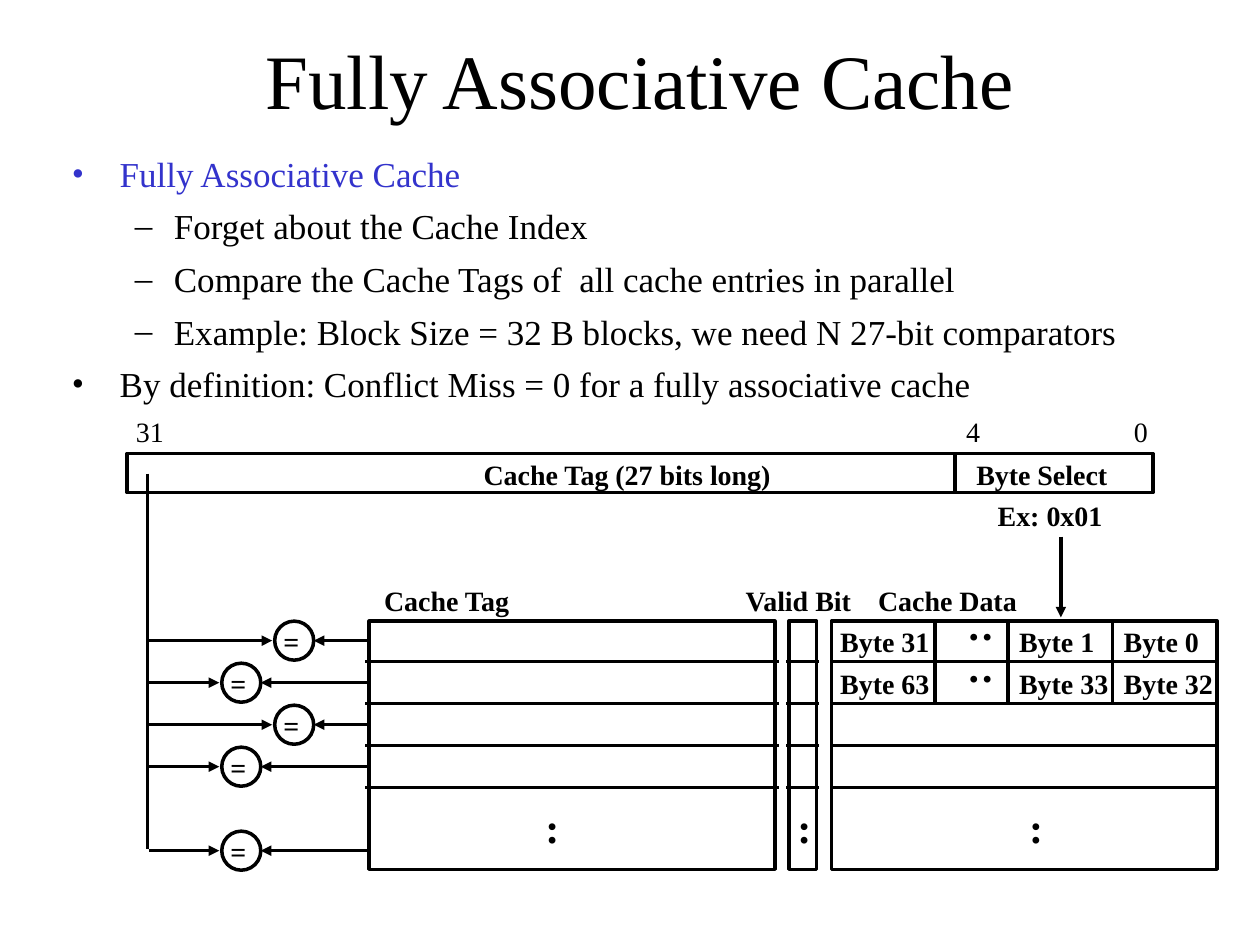
from collections import namedtuple
from dataclasses import dataclass

from lxml.etree import SubElement
from pptx import Presentation
from pptx.dml.color import RGBColor
from pptx.enum.shapes import MSO_CONNECTOR, MSO_SHAPE
from pptx.enum.text import MSO_ANCHOR, MSO_AUTO_SIZE, PP_ALIGN
from pptx.oxml.ns import qn
from pptx.util import Inches, Pt

Box = namedtuple("Box", "x y w h")


@dataclass(frozen=True)
class Theme:
    font: str = "Times New Roman"
    ink: str = "000000"
    accent: str = "3333CC"
    title: int = 44
    body: int = 20
    label: int = 16
    dots: int = 24
    line: int = 2


T = Theme()
ROW = 1 / 3          # height of one cache entry
CELL = 0.31          # height of a cell between its border lines
ENTRIES = 4          # entries drawn before the dots
BULLETS = [
    (0, "Fully Associative Cache", T.accent),
    (1, "Forget about the Cache Index", T.ink),
    (1, "Compare the Cache Tags of  all cache entries in parallel", T.ink),
    (1, "Example: Block Size = 32 B blocks, we need N 27-bit comparators", T.ink),
    (0, "By definition: Conflict Miss = 0 for a fully associative cache", T.ink),
]
LEVELS = [("•", 0.38, -0.38), ("–", 0.81, -0.31)]  # bullet, margin, indent


def place(shape, box):
    shape.left, shape.top, shape.width, shape.height = map(Inches, box)


def write(p, text, size=T.label, bold=False, color=T.ink, align=PP_ALIGN.LEFT):
    p.alignment = align
    r = p.add_run()
    r.text = text
    f = r.font
    f.name, f.size, f.bold = T.font, Pt(size), bold
    f.color.rgb = RGBColor.from_string(color)


def add_label(s, text, x, y, w, h=0.36, rotation=0, size=T.label, bold=True):
    sp = s.shapes.add_textbox(*map(Inches, (x, y, w, h)))
    sp.rotation = rotation
    sp.text_frame.word_wrap = False
    write(sp.text_frame.paragraphs[0], text, size=size, bold=bold)


def add_dots(s, x, y, rotation=0):
    add_label(s, ":", x, y, 0.31, 0.5, rotation=rotation, size=T.dots)


def add_outline(s, kind, box):
    sp = s.shapes.add_shape(kind, *map(Inches, box))
    sp.shadow.inherit = False
    sp.fill.background()
    sp.line.color.rgb = RGBColor.from_string(T.ink)
    sp.line.width = Pt(T.line)


def add_line(s, x1, y1, x2, y2, arrow=False):
    c = s.shapes.add_connector(MSO_CONNECTOR.STRAIGHT,
                               *map(Inches, (x1, y1, x2, y2)))
    c.line.color.rgb = RGBColor.from_string(T.ink)
    c.line.width = Pt(T.line)
    if arrow:
        SubElement(c.line._get_or_add_ln(), qn("a:tailEnd"), type="triangle")
    SubElement(c._element.spPr, qn("a:effectLst"))


def add_title(s, box):
    sp = s.shapes.title
    place(sp, box)
    tf = sp.text_frame
    tf.vertical_anchor = MSO_ANCHOR.MIDDLE
    tf.auto_size = MSO_AUTO_SIZE.NONE
    write(tf.paragraphs[0], "Fully Associative Cache", size=T.title,
          align=PP_ALIGN.CENTER)


def add_bullets(s, box):
    sp = s.placeholders[1]
    place(sp, box)
    tf = sp.text_frame
    tf.auto_size = MSO_AUTO_SIZE.NONE
    tf.margin_left = tf.margin_right = Inches(0.07)
    tf.margin_top = tf.margin_bottom = Inches(0.03)
    for i, (level, text, color) in enumerate(BULLETS):
        p = tf.add_paragraph() if i else tf.paragraphs[0]
        p.level = level
        char, margin, indent = LEVELS[level]
        pPr = p._p.get_or_add_pPr()
        pPr.set("marL", str(Inches(margin)))
        pPr.set("indent", str(Inches(indent)))
        SubElement(SubElement(pPr, qn("a:buClr")), qn("a:srgbClr"), val=color)
        SubElement(pPr, qn("a:buFont"), typeface=T.font)
        SubElement(pPr, qn("a:buChar"), char=char)
        p.space_before = Pt(6 if i else 0)
        write(p, text, size=T.body, color=color)


def add_address(s, box):
    """Address word: bit numbers above, tag and byte select fields inside."""
    x, y, w, h = box
    split = x + 6.57
    add_outline(s, MSO_SHAPE.RECTANGLE, box)
    add_line(s, split, y, split, y + h)
    for text, left, width in (("31", x - 0.03, 0.42), ("4", split - 0.01, 0.31),
                              ("0", x + w - 0.25, 0.31)):
        add_label(s, text, left, y - 0.36, width, bold=False)
    add_label(s, "Cache Tag (27 bits long)", x + 2.73, y - 0.02, 2.5)
    add_label(s, "Byte Select", split + 0.07, y - 0.02, 1.24)
    add_label(s, "Ex: 0x01", split + 0.24, y + h, 1.03)
    add_line(s, split + 0.84, y + 0.66, split + 0.84, y + 1.3, arrow=True)


def add_column(s, box, heading, heading_x, heading_w, dots_x, overhang):
    """One cache column; overhang is how far its row lines pass the border."""
    x, y, w, h = box
    add_outline(s, MSO_SHAPE.RECTANGLE, box)
    for i in range(ENTRIES):
        row_y = y + 0.32 + i * ROW
        add_line(s, x - overhang, row_y, x + w + overhang, row_y)
    add_label(s, heading, x + heading_x, y - 0.35, heading_w)
    add_dots(s, x + dots_x, y + 1.38)


def add_bytes(s, box):
    x, y = box.x, box.y
    rows = [("Byte 31", "Byte 1", "Byte 0"), ("Byte 63", "Byte 33", "Byte 32")]
    for i, names in enumerate(rows):
        top = y + i * ROW
        for name, left in zip(names, (-0.03, 1.39, 2.22)):
            add_label(s, name, x + left, top - 0.02, 0.91 if len(name) > 6 else 0.8)
        for edge in (0.82, 1.4, 2.23):
            add_line(s, x + edge, top, x + edge, top + CELL)
        add_dots(s, x + 0.97, top - 0.12, rotation=270)


def add_comparators(s, box):
    """Comparators in two staggered columns between the tag bus and the tags."""
    x, y, w, h = box
    add_line(s, x, y - 1.17, x, y + 1.81)
    for entry in (0, 1, 2, 3, 5):
        left = x + (0.59 if entry % 2 else 1.01)
        top = y + entry * ROW
        mid = top + CELL / 2
        add_outline(s, MSO_SHAPE.OVAL, Box(left, top, CELL, CELL))
        add_label(s, "=", left - 0.03, top - 0.02, 0.32)
        add_line(s, x + 0.01, mid, left - 0.02, mid, arrow=True)
        add_line(s, x + w, mid, left + CELL, mid, arrow=True)


def main():
    prs = Presentation()
    prs.slide_width, prs.slide_height = Inches(10), Inches(7.5)
    s = prs.slides.add_slide(prs.slide_layouts[1])
    add_title(s, Box(0.83, 0, 8.5, 1.25))
    add_bullets(s, Box(0.5, 1.18, 8.96, 2))
    add_address(s, Box(1.01, 3.6, 8.14, CELL))
    top, height = 4.93, 1.97
    tags, valid, data = (Box(x, top, w, height) for x, w in
                         ((2.93, 3.22), (6.26, 0.22), (6.6, 3.06)))
    add_column(s, tags, "Cache Tag", 0.02, 1.22, 1.3, 0.03)
    add_column(s, valid, "Valid Bit", -0.44, 1.05, -0.03, 0.02)
    add_column(s, data, "Cache Data", 0.27, 1.31, 1.47, 0)
    add_bytes(s, data)
    add_comparators(s, Box(1.17, top, tags.x - 1.17, height))
    prs.save("out.pptx")


if __name__ == "__main__":
    main()
